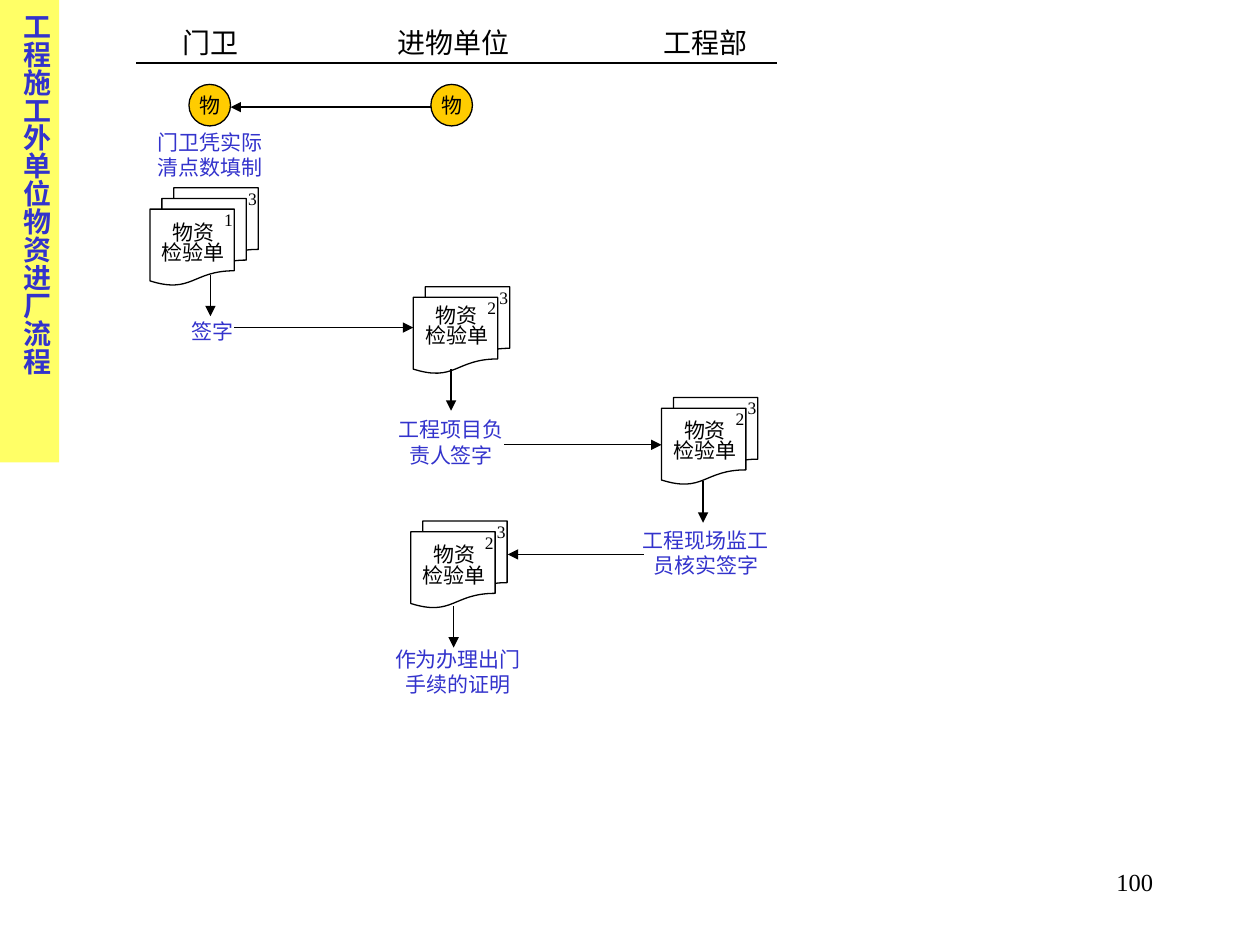
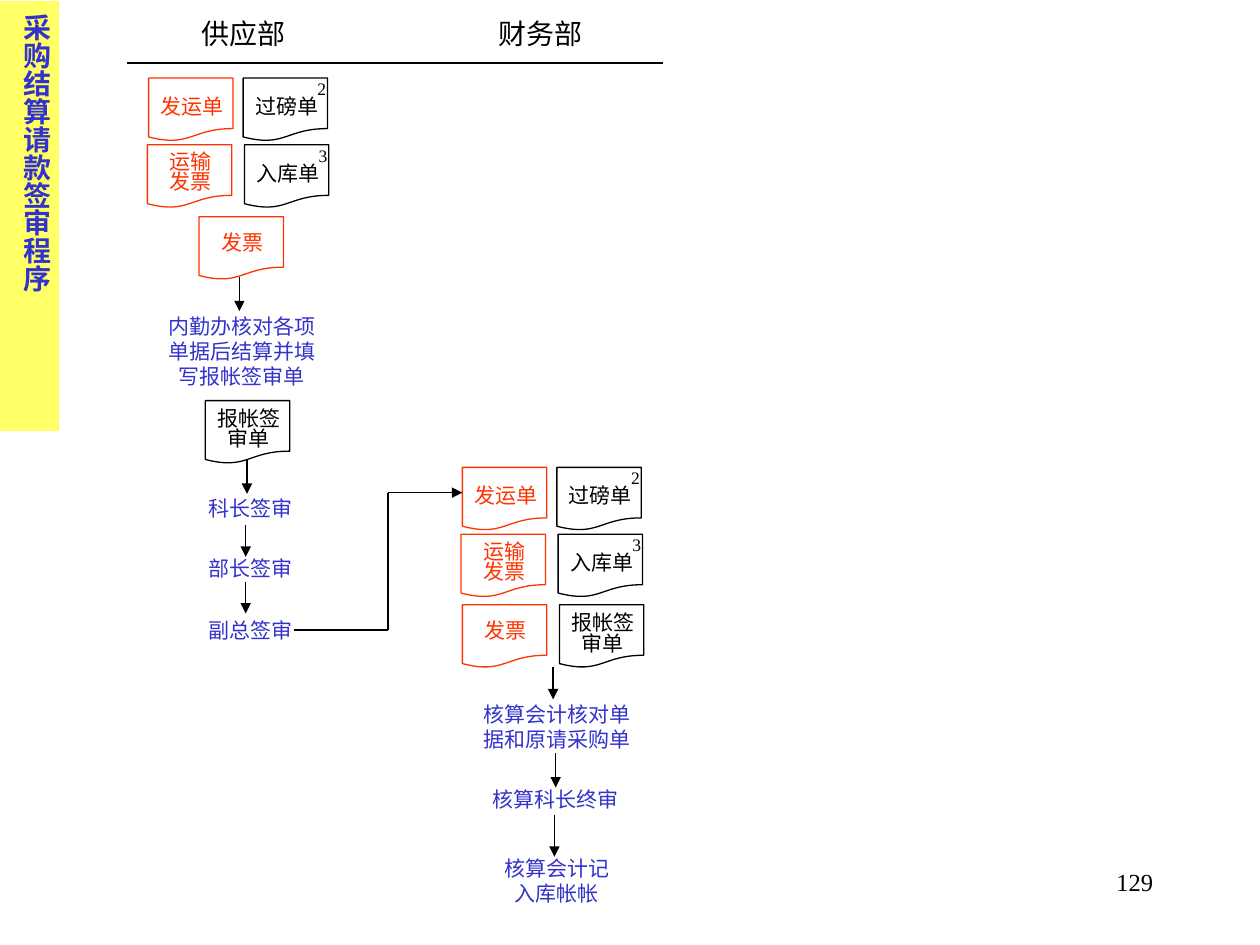
from lxml import etree
from pptx import Presentation
from pptx.dml.color import RGBColor
from pptx.enum import shapes, text
from pptx.oxml import ns
from pptx.util import Inches, Pt

BLACK, WHITE, BLUE, RED = "000000", "FFFFFF", "3333CC", "FF3300"
YELLOW, GOLD = "FFFF66", "FFCC00"
FONT = "Times New Roman"
CENTER = text.PP_ALIGN.CENTER


def rgb(value):
    """Turn a hex string into a colour."""
    return RGBColor.from_string(value)


def write(sp, content, size=12, color=BLACK, align=CENTER, spacing=1.0, bold=False):
    """Put one formatted paragraph into a shape."""
    tf = sp.text_frame
    tf.word_wrap = True
    tf.vertical_anchor = text.MSO_ANCHOR.TOP
    p = tf.paragraphs[0]
    p.text = content
    p.alignment = align
    p.line_spacing = spacing
    p.space_before = Pt(0)
    p.font.name = FONT
    p.font.size = Pt(size)
    p.font.bold = bold
    p.font.color.rgb = rgb(color)
    return tf


def set_margins(tf, x, y):
    """Set the side and the top and bottom margins of a text frame."""
    tf.margin_left = tf.margin_right = Inches(x)
    tf.margin_top = tf.margin_bottom = Inches(y)


def add_text(s, content, x, y, w, h, **style):
    """Add a text box."""
    write(s.shapes.add_textbox(Inches(x), Inches(y), Inches(w), Inches(h)), content, **style)


def add_note(s, content, x, y, w, lines=1):
    """Add a blue step description."""
    add_text(s, content, x, y, w, 0.1 + 0.2 * lines, color=BLUE)


def add_outline(s, kind, x, y, w, h, fill=WHITE, line=BLACK):
    """Add a thin-lined preset shape."""
    sp = s.shapes.add_shape(kind, Inches(x), Inches(y), Inches(w), Inches(h))
    sp.shadow.inherit = False
    sp.fill.solid()
    sp.fill.fore_color.rgb = rgb(fill)
    sp.line.color.rgb = rgb(line)
    sp.line.width = Pt(0.75)
    return sp


def add_line(s, x1, y1, x2, y2, arrow=True):
    """Add a straight line, with an arrowhead at its end by default."""
    c = s.shapes.add_connector(
        shapes.MSO_CONNECTOR.STRAIGHT, Inches(x1), Inches(y1), Inches(x2), Inches(y2))
    c.line.color.rgb = rgb(BLACK)
    c.line.width = Pt(0.75)
    if arrow:
        etree.SubElement(c.line._get_or_add_ln(), ns.qn("a:tailEnd"), type="triangle")
    etree.SubElement(c._element.spPr, ns.qn("a:effectLst"))


def add_document(s, x, y, h=0.5, label="", color=BLACK, number="",
                 label_dy=0.11, label_w=0.72):
    """Add a document with its label and copy number."""
    w = 0.67
    add_outline(s, shapes.MSO_SHAPE.FLOWCHART_DOCUMENT, x, y, w, h, line=color)
    if label:
        add_text(s, label, x + (w - label_w) / 2 + 0.01, y + label_dy, label_w, 0.42,
                 color=color, spacing=0.8)
    if number:
        add_text(s, number, x + 0.49, y - 0.05, 0.25, 0.27, size=10)


def add_inspection_stack(s, x, y, numbers, label_dy=0.07):
    """Add stacked inspection forms, numbered from front to back."""
    for i in reversed(range(len(numbers))):
        add_document(s, x + 0.095 * i, y - 0.085 * i, 0.61, "" if i else "物资 检验单",
                     number=numbers[i], label_dy=label_dy)


def add_vouchers(s, x, y):
    """Add the two-by-two group of delivery vouchers."""
    add_document(s, x + 0.01, y, label="发运单", color=RED)
    add_document(s, x, y + 0.53, label="运输发票", color=RED, label_dy=0.02, label_w=0.58)
    add_document(s, x + 0.76, y, label="过磅单", number="2")
    add_document(s, x + 0.77, y + 0.53, label="入库单", number="3")


def add_approval_form(s, x, y):
    """Add the reimbursement approval form."""
    add_document(s, x, y, label="报帐签审单", label_dy=0.03)


def add_invoice(s, x, y):
    """Add the invoice document."""
    add_document(s, x, y, label="发票", color=RED, label_dy=0.09)


def add_material(s, x, y):
    """Add a round material marker."""
    sp = add_outline(s, shapes.MSO_SHAPE.OVAL, x, y, 0.33, 0.33, fill=GOLD)
    tf = write(sp, "物")
    set_margins(tf, 0, 0)
    tf.vertical_anchor = text.MSO_ANCHOR.MIDDLE


def add_flow_slide(prs, title, band, columns, columns_y, rule, number):
    """Add a slide with its vertical title band, column heads and page number."""
    s = prs.slides.add_slide(prs.slide_layouts[5])
    sp = s.shapes.title
    top, height = band
    sp.left, sp.top, sp.width, sp.height = 0, Inches(top), Inches(0.47), Inches(height)
    sp.fill.solid()
    sp.fill.fore_color.rgb = rgb(YELLOW)
    tf = write(sp, title, 16, BLUE, text.PP_ALIGN.JUSTIFY, bold=True)
    tf.auto_size = text.MSO_AUTO_SIZE.NONE
    set_margins(tf, 0.05, 0.1)
    tf._txBody.bodyPr.set("vert", "eaVert")
    for name, center in columns:
        add_text(s, name, center - 0.75, columns_y, 1.5, 0.37, size=16)
    add_line(s, rule[0], 0.5, rule[1], 0.5, arrow=False)
    add_text(s, number, 7.17, 6.83, 2.08, 0.5, size=14, align=text.PP_ALIGN.RIGHT)
    return s


def build_site_entry(prs):
    """Build the flow for contractors' materials entering the plant."""
    s = add_flow_slide(prs, "工程施工外单位物资进厂流程", (0, 3.67),
                       [("门卫", 1.67), ("进物单位", 3.6), ("工程部", 5.6)],
                       0.15, (1.08, 6.17), "100")
    for x in (1.5, 3.42):
        add_material(s, x, 0.67)
    add_inspection_stack(s, 1.19, 1.66, ["1", "", "3"])
    add_inspection_stack(s, 3.28, 2.36, ["2", "3"], 0.03)
    add_inspection_stack(s, 5.25, 3.24, ["2", "3"], 0.06)
    add_inspection_stack(s, 3.26, 4.22, ["2", "3"])
    for note in (("门卫凭实际清点数填制", 1.08, 0.98, 1.17, 2),
                 ("签字", 1.28, 2.48, 0.81),
                 ("工程项目负责人签字", 3.01, 3.26, 1.14, 2),
                 ("工程现场监工员核实签字", 4.94, 4.14, 1.32, 2),
                 ("作为办理出门手续的证明", 3.01, 5.08, 1.25, 2)):
        add_note(s, *note)
    for x, y in ((1.67, 2.18), (3.58, 2.93), (5.58, 3.82), (3.6, 4.81)):
        add_line(s, x, y, x, y + 0.33)
    for x1, x2, y in ((3.42, 1.83, 0.85), (1.86, 3.28, 2.6),
                      (4, 5.25, 3.53), (5.11, 4.03, 4.4)):
        add_line(s, x1, y, x2, y)


def build_settlement(prs):
    """Build the purchase settlement and payment approval flow."""
    s = add_flow_slide(prs, "采购结算请款签审程序", (0.01, 3.41),
                       [("供应部", 1.93), ("财务部", 4.29)], 0.08, (1.01, 5.26), "129")
    add_vouchers(s, 1.17, 0.62)
    add_invoice(s, 1.58, 1.72)
    add_approval_form(s, 1.63, 3.18)
    add_vouchers(s, 3.66, 3.71)
    add_invoice(s, 3.67, 4.8)
    add_approval_form(s, 4.44, 4.8)
    for note in (("内勤办核对各项单据后结算并填写报帐签审单", 1.17, 2.44, 1.5, 3),
                 ("科长签审", 1.49, 3.88, 1),
                 ("部长签审", 1.49, 4.36, 1),
                 ("副总签审", 1.49, 4.85, 1),
                 ("核算会计核对单据和原请采购单", 3.71, 5.52, 1.42, 2),
                 ("核算科长终审", 3.69, 6.19, 1.44),
                 ("核算会计记入库帐帐", 3.84, 6.74, 1.16, 2)):
        add_note(s, *note)
    for x, y1, y2 in ((1.9, 2.2, 2.47), (1.96, 3.65, 3.92), (1.95, 4.17, 4.42),
                      (1.95, 4.62, 4.87), (4.39, 5.29, 5.55), (4.41, 5.98, 6.25),
                      (4.4, 6.47, 6.8)):
        add_line(s, x, y1, x, y2)
    add_line(s, 2.33, 5, 3.08, 5, arrow=False)
    add_line(s, 3.08, 5, 3.08, 3.91, arrow=False)
    add_line(s, 3.08, 3.91, 3.67, 3.91)


def main():
    """Build and save the presentation."""
    prs = Presentation()
    prs.slide_width, prs.slide_height = Inches(10), Inches(7.5)
    build_site_entry(prs)
    build_settlement(prs)
    prs.save("out.pptx")


if __name__ == "__main__":
    main()
